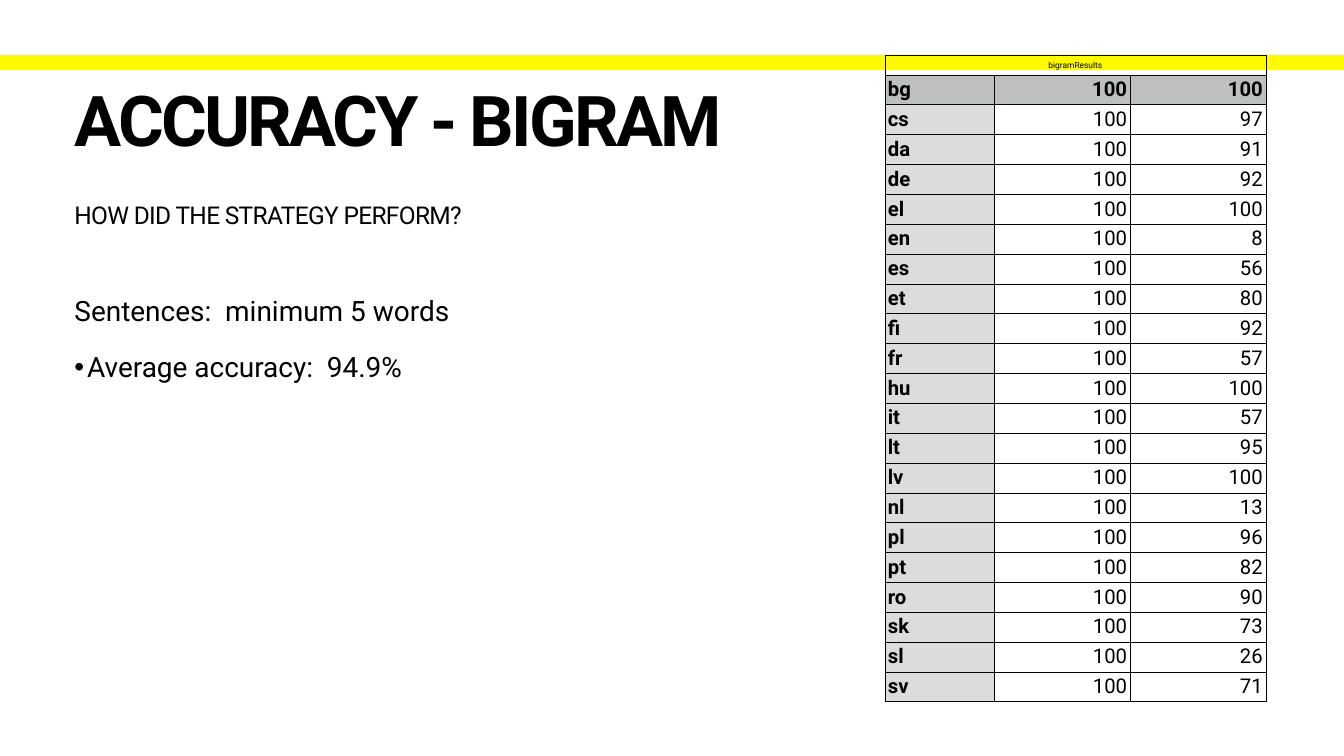
import pptx
import pptx.dml.color
import pptx.enum.shapes
import pptx.enum.text
import pptx.oxml
import pptx.oxml.ns
import pptx.util

Cm, Pt = pptx.util.Cm, pptx.util.Pt
ALIGN = pptx.enum.text.PP_ALIGN
ANCHOR = pptx.enum.text.MSO_ANCHOR

TITLE = "ACCURACY - BIGRAM"
QUESTION = "HOW DID THE STRATEGY PERFORM?"
CONDITION = "Sentences:  minimum 5 words"
FINDING = "Average accuracy:  94.9%"
TABLE_TITLE = "bigramResults"
SENTENCES = 100
CORRECT = {
    "bg": 100, "cs": 97, "da": 91, "de": 92, "el": 100, "en": 8, "es": 56,
    "et": 80, "fi": 92, "fr": 57, "hu": 100, "it": 57, "lt": 95, "lv": 100,
    "nl": 13, "pl": 96, "pt": 82, "ro": 90, "sk": 73, "sl": 26, "sv": 71,
}

THEME = {
    "font": "Roboto",
    "ink": "000000", "band": "FFFA00", "first_row": "BEC0BF", "language": "DCDCDC",
    "title": 100, "question": 35, "body": 40, "table_title": 12, "table": 29,
    "hairline": 0.35, "rule": 0.75, "frame": 1,
}
INSET = Cm(0.15)
SLIDE_WIDTH, SLIDE_HEIGHT = Cm(67.74), Cm(38.1)
TEXT_LEFT, TEXT_WIDTH = Cm(3.6), Cm(60.76)
TABLE_LEFT, TABLE_TOP = Cm(44.6), Cm(2.8)
COLUMN_WIDTHS = Cm(5.52), Cm(6.84), Cm(6.84)
TITLE_ROW, DATA_ROW = Cm(0.97), Cm(1.3)


def rgb(name):
    return pptx.dml.color.RGBColor.from_string(THEME[name])


def apply(target, formats):
    for attribute, value in formats.items():
        setattr(target, attribute, value)


def write(paragraph, text, size, bold=False, tracking=0, **formats):
    run = paragraph.add_run()
    run.text = text
    apply(run.font, {"name": THEME["font"], "size": Pt(THEME[size]), "bold": bold})
    run.font.color.rgb = rgb("ink")
    if tracking:
        run._r.get_or_add_rPr().set("spc", str(tracking * 100))
    apply(paragraph, formats)


def place(placeholder, top, height, anchor=ANCHOR.TOP):
    """Set a text placeholder in the common left column and return its frame."""
    apply(placeholder, {"left": TEXT_LEFT, "top": top,
                        "width": TEXT_WIDTH, "height": height})
    frame = placeholder.text_frame
    apply(frame, {"margin_left": INSET, "margin_right": INSET,
                  "margin_top": INSET, "margin_bottom": INSET,
                  "word_wrap": True, "vertical_anchor": anchor,
                  "auto_size": pptx.enum.text.MSO_AUTO_SIZE.NONE})
    return frame


def add_bullet(paragraph, indent):
    properties = paragraph._p.get_or_add_pPr()
    properties.set("marL", str(indent))
    properties.set("indent", str(-indent))
    properties.append(pptx.oxml.parse_xml(
        f'<a:buChar {pptx.oxml.ns.nsdecls("a")} char="•"/>'))


def format_cell(cell, fill=None, anchor=ANCHOR.TOP, **weights):
    """Set margins, borders (hairlines unless a side is given) and fill."""
    apply(cell, {"margin_left": INSET, "margin_right": INSET,
                 "margin_top": INSET, "margin_bottom": INSET,
                 "vertical_anchor": anchor})
    properties = cell._tc.get_or_add_tcPr()
    for side in "LRTB":
        width = Pt(THEME[weights.get(side, "hairline")])
        properties.append(pptx.oxml.parse_xml(
            f'<a:ln{side} {pptx.oxml.ns.nsdecls("a")} w="{width}"><a:solidFill>'
            f'<a:srgbClr val="{THEME["ink"]}"/></a:solidFill></a:ln{side}>'))
    if fill:
        cell.fill.solid()
        cell.fill.fore_color.rgb = rgb(fill)
    else:
        cell.fill.background()


def add_band(slide):
    band = slide.shapes.add_shape(pptx.enum.shapes.MSO_SHAPE.RECTANGLE,
                                  0, Cm(2.75), SLIDE_WIDTH, Cm(0.79))
    band.shadow.inherit = False
    band.fill.solid()
    band.fill.fore_color.rgb = rgb("band")
    band.line.fill.background()


def fill_text(slide):
    title, question, question_content, findings, findings_content = slide.placeholders
    for unused in (question_content, findings_content):
        unused.element.getparent().remove(unused.element)

    frame = place(title, Cm(4.5), Cm(4.93))
    write(frame.paragraphs[0], TITLE, "title", bold=True, tracking=-4,
          line_spacing=0.8, alignment=ALIGN.LEFT)

    frame = place(question, Cm(9.86), Cm(1.93), ANCHOR.MIDDLE)
    write(frame.paragraphs[0], QUESTION, "question", tracking=-1, space_before=Pt(0))

    frame = place(findings, Cm(14.63), Cm(19.84))
    write(frame.paragraphs[0], CONDITION, "body", space_before=Pt(33))
    finding = frame.add_paragraph()
    write(finding, FINDING, "body", space_before=Pt(33))
    add_bullet(finding, Cm(0.64))


def add_results(slide):
    table = slide.shapes.add_table(
        len(CORRECT) + 1, len(COLUMN_WIDTHS), TABLE_LEFT, TABLE_TOP,
        sum(COLUMN_WIDTHS), TITLE_ROW + DATA_ROW * len(CORRECT)).table
    apply(table, {"first_row": False, "horz_banding": False})
    for column, width in zip(table.columns, COLUMN_WIDTHS):
        column.width = width
    for index, row in enumerate(table.rows):
        row.height = DATA_ROW if index else TITLE_ROW

    heading = table.cell(0, 0)
    heading.merge(table.cell(0, len(COLUMN_WIDTHS) - 1))
    for cell in table.rows[0].cells:
        format_cell(cell, anchor=ANCHOR.MIDDLE, L="frame", T="frame", R="frame")
    write(heading.text_frame.paragraphs[0], TABLE_TITLE, "table_title",
          space_before=Pt(6), alignment=ALIGN.CENTER)

    for row, (language, correct) in enumerate(CORRECT.items(), start=1):
        first = row == 1
        for column, value in enumerate((language, SENTENCES, correct)):
            cell = table.cell(row, column)
            label = column == 0
            weights = {}
            if first:
                weights["B"] = "rule"
            else:
                if row == 2:
                    weights["T"] = "rule"
                if column < 2:
                    weights["R" if label else "L"] = "rule"
            fill = "first_row" if first else "language" if label else None
            format_cell(cell, fill, **weights)
            write(cell.text_frame.paragraphs[0], str(value), "table",
                  bold=first or label,
                  alignment=ALIGN.LEFT if label else ALIGN.RIGHT)


def main():
    presentation = pptx.Presentation()
    apply(presentation, {"slide_width": SLIDE_WIDTH, "slide_height": SLIDE_HEIGHT})
    comparison = presentation.slide_layouts.get_by_name("Comparison")
    slide = presentation.slides.add_slide(comparison)
    add_band(slide)
    fill_text(slide)
    add_results(slide)
    presentation.save("out.pptx")


if __name__ == "__main__":
    main()
